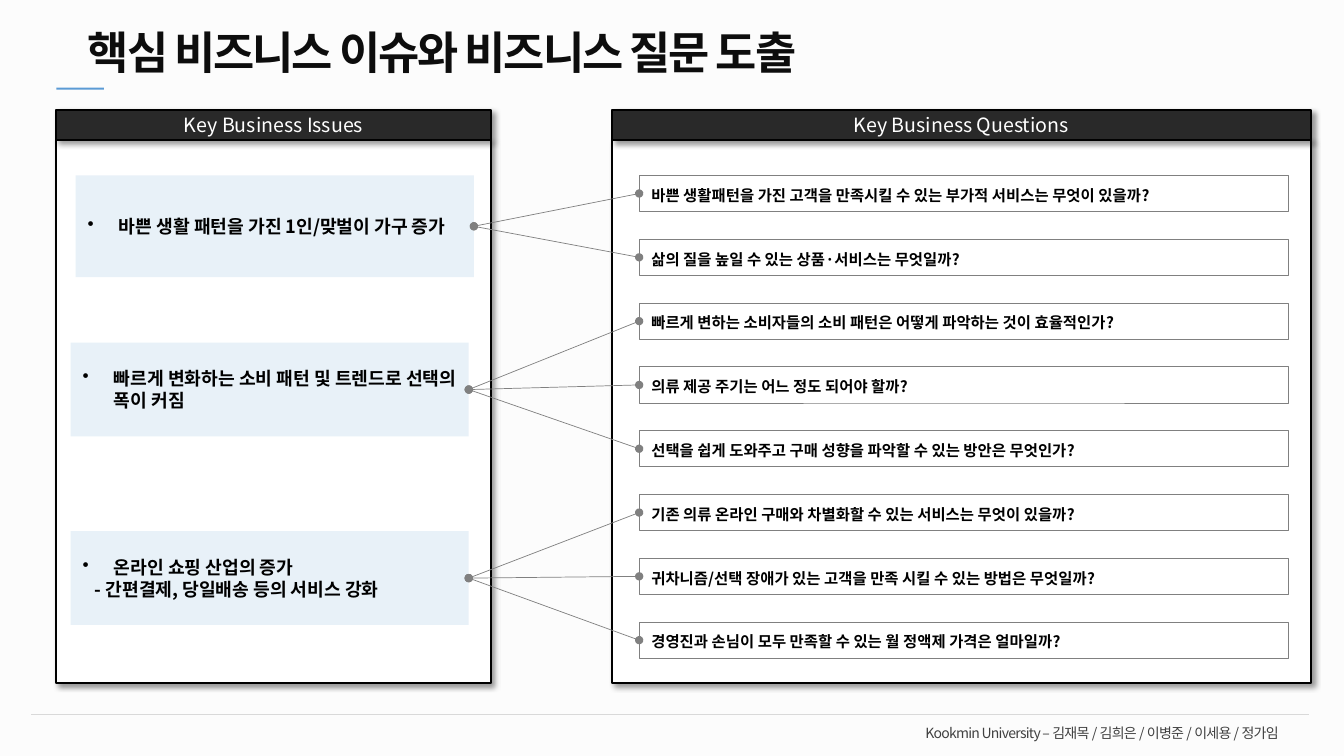
"""Build the slide that links key business issues to key business questions."""
from lxml import etree
from pptx import Presentation
from pptx import util as u
from pptx.dml.color import RGBColor
from pptx.enum import shapes, text
from pptx.oxml import ns

W, H = u.Inches(13.33), u.Inches(7.5)
FONT = "Noto Sans CJK KR"
C = dict(white="FFFFFF", veil="F2F2F2", black="000000", header="292929", issue="E8F1F8",
         gray="808080", rule="D9D9D9", footer="404040", title="0D0D0D", accent="5B9BD5")
PANEL_Y, HEAD_H, BODY_H = 14.53, 4, 71.87
ISSUE_W = 29.63
QUESTION_X, QUESTION_Y, QUESTION_W, QUESTION_H, PITCH = 47.56, 23.2, 48.31, 4.8, 8.44
BULLET, DASH = (0.31, -0.31, "•"), (0.12, 0, None)
PANELS = [("Key Business Questions", 45.54, 51.99), ("Key Business Issues", 4.2, 32.33)]
ISSUES = [
    (5.63, 23.2, 13.47, [("바쁜 생활 패턴을 가진 1인/맞벌이 가구 증가", BULLET)], [
        "바쁜 생활패턴을 가진 고객을 만족시킬 수 있는 부가적 서비스는 무엇이 있을까?",
        "삶의 질을 높일 수 있는 상품·서비스는 무엇일까?"]),
    (5.25, 45.33, 12.4, [("빠르게 변화하는 소비 패턴 및 트렌드로 선택의 폭이 커짐", BULLET)], [
        "빠르게 변하는 소비자들의 소비 패턴은 어떻게 파악하는 것이 효율적인가?",
        "의류 제공 주기는 어느 정도 되어야 할까?",
        "선택을 쉽게 도와주고 구매 성향을 파악할 수 있는 방안은 무엇인가?"]),
    (5.25, 70.27, 12.4, [("온라인 쇼핑 산업의 증가", BULLET),
                         ("- 간편결제, 당일배송 등의 서비스 강화", DASH)], [
        "기존 의류 온라인 구매와 차별화할 수 있는 서비스는 무엇이 있을까?",
        "귀차니즘/선택 장애가 있는 고객을 만족 시킬 수 있는 방법은 무엇일까?",
        "경영진과 손님이 모두 만족할 수 있는 월 정액제 가격은 얼마일까?"]),
]


def px(x):
    """Convert a percentage of the slide width to a length."""
    return round(W * x / 100)


def py(y):
    """Convert a percentage of the slide height to a length."""
    return round(H * y / 100)


def add_xml(parent, tag, **attrs):
    """Append a drawing element with the given attributes."""
    return etree.SubElement(parent, ns.qn("a:" + tag), {k: str(v) for k, v in attrs.items()})


def add_rect(s, x, y, w, h, fill, line=None, width=0, alpha=None):
    """Add a filled rectangle, outlined if a line colour is given."""
    sp = s.shapes.add_shape(shapes.MSO_SHAPE.RECTANGLE, px(x), py(y), px(w), py(h))
    sp.shadow.inherit = False
    sp.fill.solid()
    sp.fill.fore_color.rgb = RGBColor.from_string(C[fill])
    if alpha:
        add_xml(sp.fill._xPr.find(ns.qn("a:solidFill"))[0], "alpha", val=alpha * 1000)
    if line:
        sp.line.color.rgb = RGBColor.from_string(C[line])
        sp.line.width = u.Pt(width)
    else:
        sp.line.fill.background()
    return sp


def add_shadow(sp):
    """Give a shape a soft shadow to the lower right."""
    effects = sp._element.spPr.find(ns.qn("a:effectLst"))
    shadow = add_xml(effects, "outerShdw", blurRad=u.Pt(4), dist=u.Pt(3), dir=45 * 60000,
                     algn="tl", rotWithShape=0)
    add_xml(add_xml(shadow, "srgbClr", val=C["black"]), "alpha", val=40000)


def write(sp, lines, size, color, bold=False, align="LEFT", anchor="MIDDLE", spacing=None,
          inset=(0.1, 0.05), leading=None):
    """Write paragraphs, each with its indent and bullet, into a shape."""
    tf = sp.text_frame
    mx, my = map(u.Inches, inset)
    frame = dict(word_wrap=True, vertical_anchor=text.MSO_ANCHOR[anchor], margin_left=mx,
                 margin_right=mx, margin_top=my, margin_bottom=my)
    for name, value in frame.items():
        setattr(tf, name, value)
    for i, (words, (left, hang, bullet)) in enumerate(lines):
        p = tf.add_paragraph() if i else tf.paragraphs[0]
        p.alignment = text.PP_ALIGN[align]
        if leading:
            p.line_spacing = u.Pt(leading)
        pPr = p._p.get_or_add_pPr()
        pPr.set("marL", str(u.Inches(left)))
        pPr.set("indent", str(u.Inches(hang)))
        if bullet:
            add_xml(pPr, "buChar", char=bullet)
        r = p.add_run()
        r.text = words
        for name, value in dict(size=u.Pt(size), bold=bold, name=FONT).items():
            setattr(r.font, name, value)
        r.font.color.rgb = RGBColor.from_string(C[color])
        rPr = r._r.get_or_add_rPr()
        add_xml(rPr, "ea", typeface=FONT)
        if spacing:
            rPr.set("spc", str(round(spacing * 100)))


def plain(words):
    """Wrap one line of text as a paragraph without indent or bullet."""
    return [(words, (0, 0, None))]


def add_label(s, x, y, w, h, words, **style):
    """Add a text box holding one paragraph."""
    write(s.shapes.add_textbox(px(x), py(y), px(w), py(h)), plain(words), anchor="TOP", **style)


def add_line(s, x1, y1, x2, y2, color, width, dots=False):
    """Add a straight line, with a dot at each end if asked."""
    cn = s.shapes.add_connector(shapes.MSO_CONNECTOR.STRAIGHT, px(x1), py(y1), px(x2), py(y2))
    cn.line.color.rgb = RGBColor.from_string(C[color])
    cn.line.width = u.Pt(width)
    if dots:
        for end in ("headEnd", "tailEnd"):
            add_xml(cn.line._get_or_add_ln(), end, type="oval")
    add_xml(cn._element.spPr, "effectLst")


def add_panel(s, heading, x, w):
    """Add a shadowed panel with a dark heading bar."""
    body = add_rect(s, x, PANEL_Y + HEAD_H, w, BODY_H, "white", "black", 1.5)
    head = add_rect(s, x, PANEL_Y, w, HEAD_H, "header", "black", 1.5)
    for sp in (body, head):
        add_shadow(sp)
    write(head, plain(heading), 14, "white", align="CENTER")


def add_issue(s, x, y, h, lines):
    """Add an issue box and return the point where its links start."""
    write(add_rect(s, x, y, ISSUE_W, h, "issue"), lines, 13, "black", bold=True,
          inset=(0.12, 0.08), leading=15.6)
    return x + ISSUE_W, y + h / 2


def add_question(s, row, words):
    """Add a question box on its row and return the point where its link ends."""
    y = QUESTION_Y + row * PITCH
    sp = add_rect(s, QUESTION_X, y, QUESTION_W, QUESTION_H, "white", "gray", 0.5)
    write(sp, plain(words), 11, "black", bold=True, inset=(0.12, 0.08), leading=15.6)
    return QUESTION_X, y + QUESTION_H / 2


def main():
    """Build and save the slide."""
    prs = Presentation()
    prs.slide_width, prs.slide_height = W, H
    s = prs.slides.add_slide(prs.slide_layouts[6])
    add_rect(s, 0, 0, 100, 100, "veil", alpha=20)
    add_label(s, 68.12, 95.2, 29.93, 3.6,
              "Kookmin University – 김재목 / 김희은 / 이병준 / 이세용 / 정가임",
              size=10, color="footer", spacing=-0.5)
    add_line(s, 2.33, 94.53, 97.37, 94.53, "rule", 0.75)
    for panel in PANELS:
        add_panel(s, *panel)
    links, row = [], 0
    for x, y, h, lines, questions in ISSUES:
        start = add_issue(s, x, y, h, lines)
        for words in questions:
            links.append(start + add_question(s, row, words))
            row += 1
    for link in links:
        add_line(s, *link, "gray", 0.5, dots=True)
    add_label(s, 2.93, 2.67, 59.94, 8.53, "핵심 비즈니스 이슈와 비즈니스 질문 도출",
              size=32, color="title", bold=True, align="CENTER", spacing=-1.5)
    add_rect(s, 4.2, 11.6, 3.53, 0.27, "accent")
    prs.save("out.pptx")


if __name__ == "__main__":
    main()
